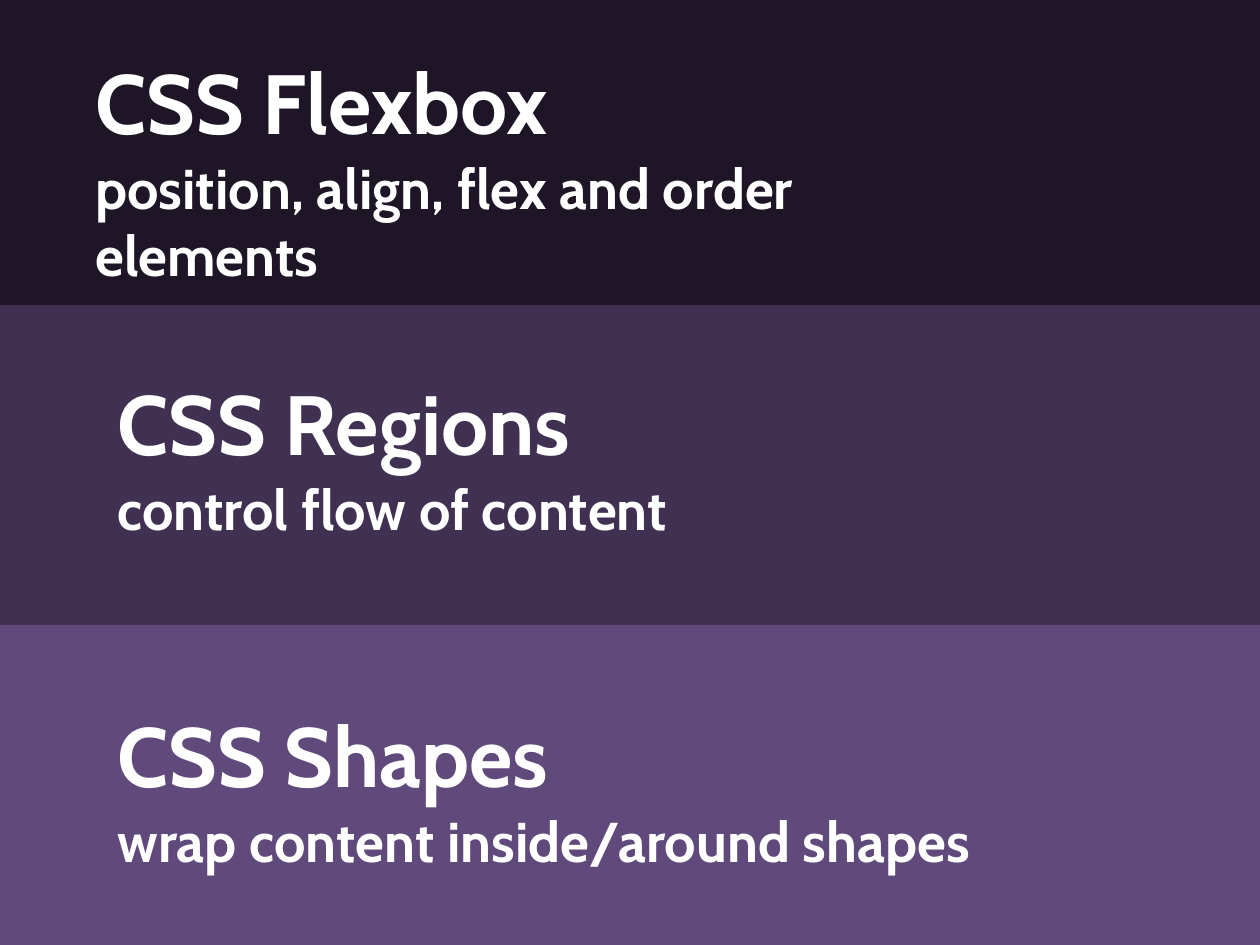
"""Build a slide of three stacked bands, each naming a CSS layout feature."""
from dataclasses import dataclass

from pptx import Presentation
from pptx.dml.color import RGBColor
from pptx.enum.shapes import MSO_SHAPE
from pptx.enum.text import MSO_AUTO_SIZE
from pptx.slide import Slide
from pptx.util import Emu, Inches, Pt

SLIDE_WIDTH, SLIDE_HEIGHT = 1260, 945
EMU_PER_PX = Inches(10) / SLIDE_WIDTH
BAND_HEIGHT = 320
TITLE_WIDTH, TITLE_HEIGHT = 1041, 115
SUBTITLE_WIDTH, SUBTITLE_HEIGHT = 919, 81
SUBTITLE_OFFSET = 103


@dataclass(frozen=True)
class Theme:
    background: str = "1E1526"
    middle_band: str = "403152"
    bottom_band: str = "604A7B"
    text: str = "FFFFFF"
    font: str = "Cabin"
    title_size: int = 48
    subtitle_size: int = 32


@dataclass(frozen=True)
class Feature:
    title: str
    subtitle: str
    left: int
    top: int


THEME = Theme()
BAND_COLORS = (THEME.middle_band, THEME.bottom_band)
FEATURES = (
    Feature("CSS Flexbox", "position, align, flex and order elements", 83, 44),
    Feature("CSS Regions", "control flow of content", 105, 365),
    Feature("CSS Shapes", "wrap content inside/around shapes", 105, 697),
)


def px(length: int) -> Emu:
    return Emu(round(length * EMU_PER_PX))


def add_band(slide: Slide, top: int, color: str) -> None:
    band = slide.shapes.add_shape(
        MSO_SHAPE.RECTANGLE, 0, px(top), px(SLIDE_WIDTH), px(BAND_HEIGHT)
    )
    band.shadow.inherit = False
    band.fill.solid()
    band.fill.fore_color.rgb = RGBColor.from_string(color)
    band.line.fill.background()


def add_text(slide: Slide, text: str, *, left: int, top: int, width: int,
             height: int, size: int, color: str = THEME.text,
             bold: bool = True) -> None:
    box = slide.shapes.add_textbox(px(left), px(top), px(width), px(height))
    frame = box.text_frame
    frame.word_wrap = True
    frame.auto_size = MSO_AUTO_SIZE.SHAPE_TO_FIT_TEXT
    run = frame.paragraphs[0].add_run()
    run.text = text
    run.font.name = THEME.font
    run.font.size = Pt(size)
    run.font.bold = bold
    run.font.color.rgb = RGBColor.from_string(color)


def add_feature(slide: Slide, feature: Feature) -> None:
    add_text(slide, feature.title, left=feature.left, top=feature.top,
             width=TITLE_WIDTH, height=TITLE_HEIGHT, size=THEME.title_size)
    add_text(slide, feature.subtitle, left=feature.left,
             top=feature.top + SUBTITLE_OFFSET, width=SUBTITLE_WIDTH,
             height=SUBTITLE_HEIGHT, size=THEME.subtitle_size)


def main() -> None:
    presentation = Presentation()
    presentation.slide_width = px(SLIDE_WIDTH)
    presentation.slide_height = px(SLIDE_HEIGHT)
    slide = presentation.slides.add_slide(presentation.slide_layouts[6])
    slide.background.fill.solid()
    slide.background.fill.fore_color.rgb = RGBColor.from_string(THEME.background)
    first_top = SLIDE_HEIGHT - len(BAND_COLORS) * BAND_HEIGHT
    for index, color in enumerate(BAND_COLORS):
        add_band(slide, first_top + index * BAND_HEIGHT, color)
    for feature in FEATURES:
        add_feature(slide, feature)
    presentation.save("out.pptx")


if __name__ == "__main__":
    main()
